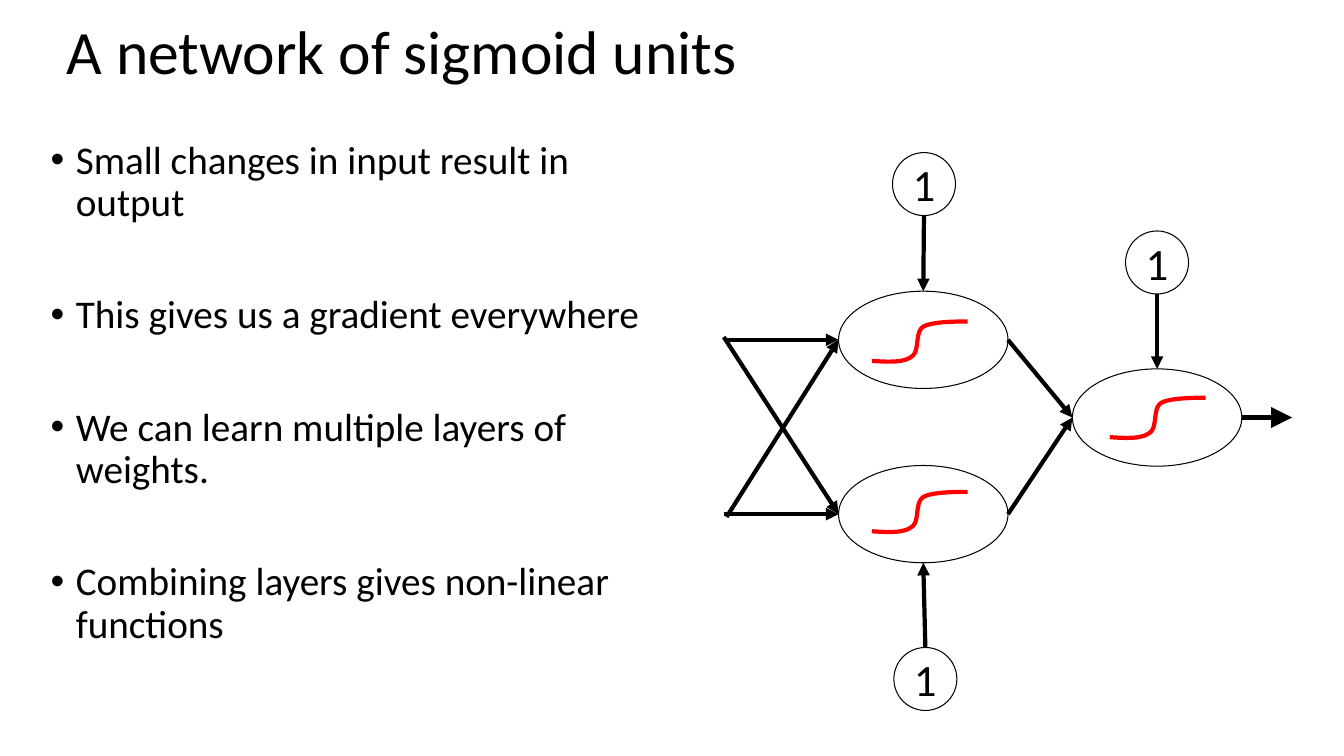
from lxml.etree import SubElement
from pptx import Presentation
from pptx.dml.color import RGBColor
from pptx.enum.shapes import MSO_CONNECTOR, MSO_SHAPE
from pptx.enum.text import MSO_ANCHOR, MSO_AUTO_SIZE, PP_ALIGN
from pptx.oxml.ns import qn
from pptx.util import Pt

BLACK = RGBColor(0, 0, 0)
WHITE = RGBColor(255, 255, 255)
RED = RGBColor(255, 0, 0)
FONT = "Calibri"

BULLETS = [
    "Small changes in input result in output",
    "This gives us a gradient everywhere",
    "We can learn multiple layers of weights.",
    "Combining layers gives non-linear functions",
]
NEURON_WIDTH, NEURON_HEIGHT = 121, 69.5
BIAS_SIZE = 45
SIGMOID = [
    [(0, 28.1), (11.5, 28.8), (22.3, 29.5), (28.1, 25.2)],
    [(28.1, 25.2), (34.6, 21.6), (30.2, 7.9), (36.7, 3.6)],
    [(36.7, 3.6), (43.9, -0.7), (68.4, 0), (68.4, 0)],
]
CURVE_STEPS = 12


def write(paragraph, text, size, align=PP_ALIGN.LEFT, line_spacing=1.0, space_before=0):
    paragraph.text = text
    paragraph.alignment = align
    paragraph.line_spacing = line_spacing
    paragraph.space_before = Pt(space_before)
    paragraph.font.size = Pt(size)
    paragraph.font.name = FONT
    paragraph.font.color.rgb = BLACK


def place(shape, left, top, width, height):
    shape.left, shape.top = Pt(left), Pt(top)
    shape.width, shape.height = Pt(width), Pt(height)


def add_title(slide, left, top, width, height):
    title = slide.shapes.title
    place(title, left, top, width, height)
    title.text_frame.vertical_anchor = MSO_ANCHOR.MIDDLE
    title.text_frame.auto_size = MSO_AUTO_SIZE.NONE
    write(title.text_frame.paragraphs[0], "A network of sigmoid units", 44, line_spacing=0.9)


def add_bullets(slide, left, top, width, height):
    body = slide.placeholders[1]
    place(body, left, top, width, height)
    frame = body.text_frame
    frame.auto_size = MSO_AUTO_SIZE.NONE
    for index, text in enumerate(BULLETS):
        paragraph = frame.add_paragraph() if index else frame.paragraphs[0]
        properties = paragraph._p.get_or_add_pPr()
        properties.set("marL", str(Pt(18)))
        properties.set("indent", str(Pt(-18)))
        SubElement(properties, qn("a:buFont")).set("typeface", "Arial")
        SubElement(properties, qn("a:buChar")).set("char", "•")
        write(paragraph, text, 28, line_spacing=0.9, space_before=50 if index else 0)


def add_ellipse(slide, left, top, width, height):
    ellipse = slide.shapes.add_shape(
        MSO_SHAPE.OVAL, Pt(left), Pt(top), Pt(width), Pt(height))
    ellipse.shadow.inherit = False
    ellipse.fill.background()
    ellipse.line.color.rgb = BLACK
    ellipse.line.width = Pt(0.75)
    return ellipse


def add_arrow(slide, start, end, head="med"):
    arrow = slide.shapes.add_connector(
        MSO_CONNECTOR.STRAIGHT, *(Pt(value) for value in (*start, *end)))
    arrow.line.color.rgb = BLACK
    arrow.line.width = Pt(3)
    tail = SubElement(arrow.line._get_or_add_ln(), qn("a:tailEnd"))
    tail.set("type", "triangle")
    tail.set("w", head)
    tail.set("len", head)
    SubElement(arrow._element.spPr, qn("a:effectLst"))


def bezier_point(controls, t):
    weights = ((1 - t) ** 3, 3 * t * (1 - t) ** 2, 3 * t ** 2 * (1 - t), t ** 3)
    return tuple(sum(weight * point[axis] for weight, point in zip(weights, controls))
                 for axis in (0, 1))


def add_sigmoid(slide, left, top):
    points = [SIGMOID[0][0]] + [
        bezier_point(controls, step / CURVE_STEPS)
        for controls in SIGMOID for step in range(1, CURVE_STEPS + 1)]
    points = [(Pt(left + x), Pt(top + y)) for x, y in points]
    builder = slide.shapes.build_freeform(*points[0])
    builder.add_line_segments(points[1:], close=False)
    curve = builder.convert_to_shape()
    curve.shadow.inherit = False
    curve.fill.background()
    curve.line.color.rgb = RED
    curve.line.width = Pt(3)


def add_neuron(slide, left, top, curve_left, curve_top):
    add_ellipse(slide, left, top, NEURON_WIDTH, NEURON_HEIGHT)
    add_sigmoid(slide, left + curve_left, top + curve_top)
    middle, centre = top + NEURON_HEIGHT / 2, left + NEURON_WIDTH / 2
    return {
        "left": (left, middle),
        "right": (left + NEURON_WIDTH, middle),
        "top": (centre, top),
        "bottom": (centre, top + NEURON_HEIGHT),
    }


def add_bias(slide, centre, top, target):
    above = top < target[1]
    add_arrow(slide, (centre, top + BIAS_SIZE if above else top), target)
    bias = add_ellipse(slide, centre - BIAS_SIZE / 2, top, BIAS_SIZE, BIAS_SIZE)
    bias.fill.solid()
    bias.fill.fore_color.rgb = WHITE
    bias.text_frame.word_wrap = False
    bias.text_frame.vertical_anchor = MSO_ANCHOR.MIDDLE
    write(bias.text_frame.paragraphs[0], "1", 32, align=PP_ALIGN.CENTER)


def add_network(slide, left, top, width, height):
    upper = add_neuron(slide, left + 82, top + 99, 23.8, 21.7)
    lower = add_neuron(slide, left + 82, top + 223.5, 23.8, 18.9)
    output = add_neuron(slide, left + 249, top + 154.5, 26.7, 20.7)
    upper_level, lower_level = upper["left"][1], lower["left"][1]

    add_arrow(slide, (left + 2, upper_level), upper["left"])
    add_arrow(slide, (left + 2, lower_level + 2), upper["left"])
    add_arrow(slide, (left, upper_level - 2), lower["left"])
    add_arrow(slide, (left, lower_level), lower["left"])
    for hidden in (upper, lower):
        add_arrow(slide, hidden["right"], output["left"])
    add_arrow(slide, output["right"], (left + width, output["right"][1]), head="lg")

    add_bias(slide, left + 143, top, upper["top"])
    add_bias(slide, left + 144, top + height - BIAS_SIZE, lower["bottom"])
    add_bias(slide, left + 309.5, top + 56, output["top"])


def main():
    presentation = Presentation()
    presentation.slide_width, presentation.slide_height = Pt(960), Pt(540)
    slide = presentation.slides.add_slide(presentation.slide_layouts[1])
    add_title(slide, 40.3, 0, 864, 78)
    add_bullets(slide, 29, 96.5, 437, 396)
    add_network(slide, 517, 109, 406, 398.5)
    presentation.save("out.pptx")


if __name__ == "__main__":
    main()
